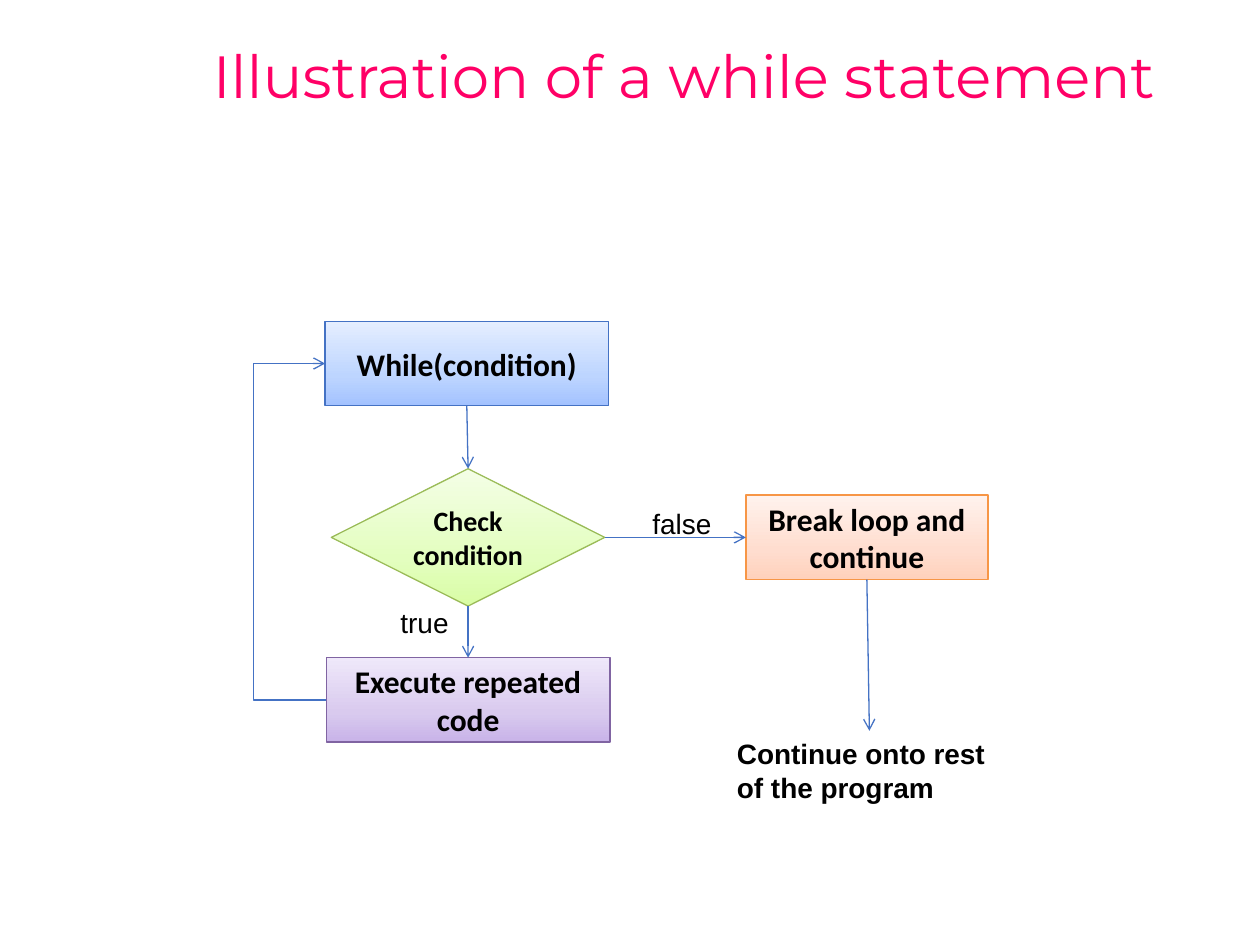
from lxml import etree
from pptx import Presentation
from pptx.dml.color import RGBColor
from pptx.enum import shapes as es, text as et
from pptx.oxml import parse_xml
from pptx.oxml.ns import nsdecls, qn
from pptx.util import Inches, Pt

THEME = {
    "ink": "000000", "title": "FF0066", "arrow": "4472C4",
    "blue": ("4472C4", "A3C2FF", "BDD5FF", "E5EEFF"),
    "green": ("9BBB59", "D9FDA5", "E3FEBF", "F4FEE6"),
    "violet": ("8064A2", "C8B3E9", "D9CAEE", "EFE8FA"),
    "orange": ("F79646", "FFD1BB", "FFDDCF", "FFF2ED"),
    "head": 34, "step": 18, "small": 16, "rule": 0.75,
}
BOX, TEST = es.MSO_SHAPE.FLOWCHART_PROCESS, es.MSO_SHAPE.FLOWCHART_DECISION

# name: (text, preset, hue, size, (left, top, width, height))
STEPS = {
    "while": ("While(condition)", BOX, "blue", "step", (2.58, 2.55, 2.25, 0.67)),
    "check": ("Check condition", TEST, "green", "small", (2.63, 3.72, 2.17, 1.09)),
    "code": ("Execute repeated code", BOX, "violet", "step", (2.59, 5.22, 2.25, 0.67)),
    "break": ("Break loop and continue", BOX, "orange", "step", (5.92, 3.93, 1.92, 0.67)),
}
# (from step, side, to step, side)
LINKS = [
    ("while", "bottom", "check", "top"),
    ("check", "bottom", "code", "top"),
    ("check", "right", "break", "left"),
]
# (text, box, bold, wrap)
LABELS = [
    ("false", (5.08, 3.97, 0.68, 0.37), False, False),
    ("true", (3.08, 4.76, 0.59, 0.37), False, False),
    ("Continue onto rest of the program", (5.75, 5.8, 2.31, 0.64), True, True),
]
TITLE = ("Illustration of a while statement", (1.59, 0.01, 8.41, 1.24))
REST = (6.9, 5.8)
LOOP = 0.59  # how far the loop back swings out to the left


def write(shape, text, size, font="Arial", color="ink", bold=False,
          align=None, anchor=et.MSO_ANCHOR.TOP, wrap=True, space=None):
    """Put formatted text in a shape."""
    frame = shape.text_frame
    frame.word_wrap, frame.vertical_anchor = wrap, anchor
    para = frame.paragraphs[0]
    para.alignment, para.line_spacing = align, space
    run = para.add_run()
    run.text = text
    run.font.size, run.font.name, run.font.bold = Pt(THEME[size]), font, bold
    run.font.color.rgb = RGBColor.from_string(THEME[color])


def label(slide, text, box, size, **form):
    """Add a text box."""
    write(slide.shapes.add_textbox(*map(Inches, box)), text, size, **form)


def shade(shape, hue):
    """Give a shape its outline and a three-stop fill, darkest at the foot."""
    edge, *tints = THEME[hue]
    stops = "".join(f'<a:gs pos="{pos}"><a:srgbClr val="{tint}"/></a:gs>'
                    for pos, tint in zip((0, 35000, 100000), tints))
    fill = parse_xml(f'<a:gradFill {nsdecls("a")} rotWithShape="1"><a:gsLst>{stops}'
                     '</a:gsLst><a:lin ang="16200000" scaled="1"/></a:gradFill>')
    shape._element.spPr.find(qn("a:prstGeom")).addnext(fill)
    shape.line.color.rgb = RGBColor.from_string(edge)
    shape.line.width = Pt(THEME["rule"])
    shape.shadow.inherit = False


def step(slide, text, kind, hue, size, box):
    """Add one step of the flow chart."""
    shape = slide.shapes.add_shape(kind, *map(Inches, box))
    shade(shape, hue)
    write(shape, text, size, font="Calibri", bold=True,
          align=et.PP_ALIGN.CENTER, anchor=et.MSO_ANCHOR.MIDDLE)


def port(name, side):
    """Return the middle of one side of a step."""
    x, y, w, h = STEPS[name][-1]
    dx, dy = {"top": (0.5, 0), "bottom": (0.5, 1),
              "left": (0, 0.5), "right": (1, 0.5)}[side]
    return x + w * dx, y + h * dy


def arrow(slide, start, end, kind=es.MSO_CONNECTOR.STRAIGHT, head="tailEnd"):
    """Add a connector with an open arrowhead."""
    link = slide.shapes.add_connector(kind, *map(Inches, (*start, *end)))
    link.line.color.rgb = RGBColor.from_string(THEME["arrow"])
    link.line.width = Pt(THEME["rule"])
    etree.SubElement(link.line._get_or_add_ln(), qn("a:" + head), type="arrow")
    etree.SubElement(link._element.spPr, qn("a:effectLst"))
    return link


def loop(slide, start, end):
    """Add the bent arrow that leads back to the first step."""
    link = arrow(slide, end, start, es.MSO_CONNECTOR.ELBOW)
    props = link._element.spPr
    props.find(qn("a:xfrm")).set("rot", "10800000")
    guides = props.find(qn("a:prstGeom")).get_or_add_avLst()
    bend = round(LOOP / (start[0] - end[0]) * 100000)
    etree.SubElement(guides, qn("a:gd"), name="adj1", fmla=f"val {bend}")


def build():
    """Build and save the slide."""
    deck = Presentation()
    deck.slide_width, deck.slide_height = Inches(10), Inches(7.5)
    slide = deck.slides.add_slide(deck.slide_layouts[6])
    label(slide, *TITLE, "head", font="Montserrat", color="title",
          anchor=et.MSO_ANCHOR.MIDDLE, space=0.9)
    for item in STEPS.values():
        step(slide, *item)
    for a, out, b, into in LINKS:
        arrow(slide, port(a, out), port(b, into))
    arrow(slide, port("break", "bottom"), REST)
    loop(slide, port("code", "left"), port("while", "left"))
    for text, box, bold, wrap in LABELS:
        label(slide, text, box, "small", bold=bold, wrap=wrap)
    deck.save("out.pptx")


build()
